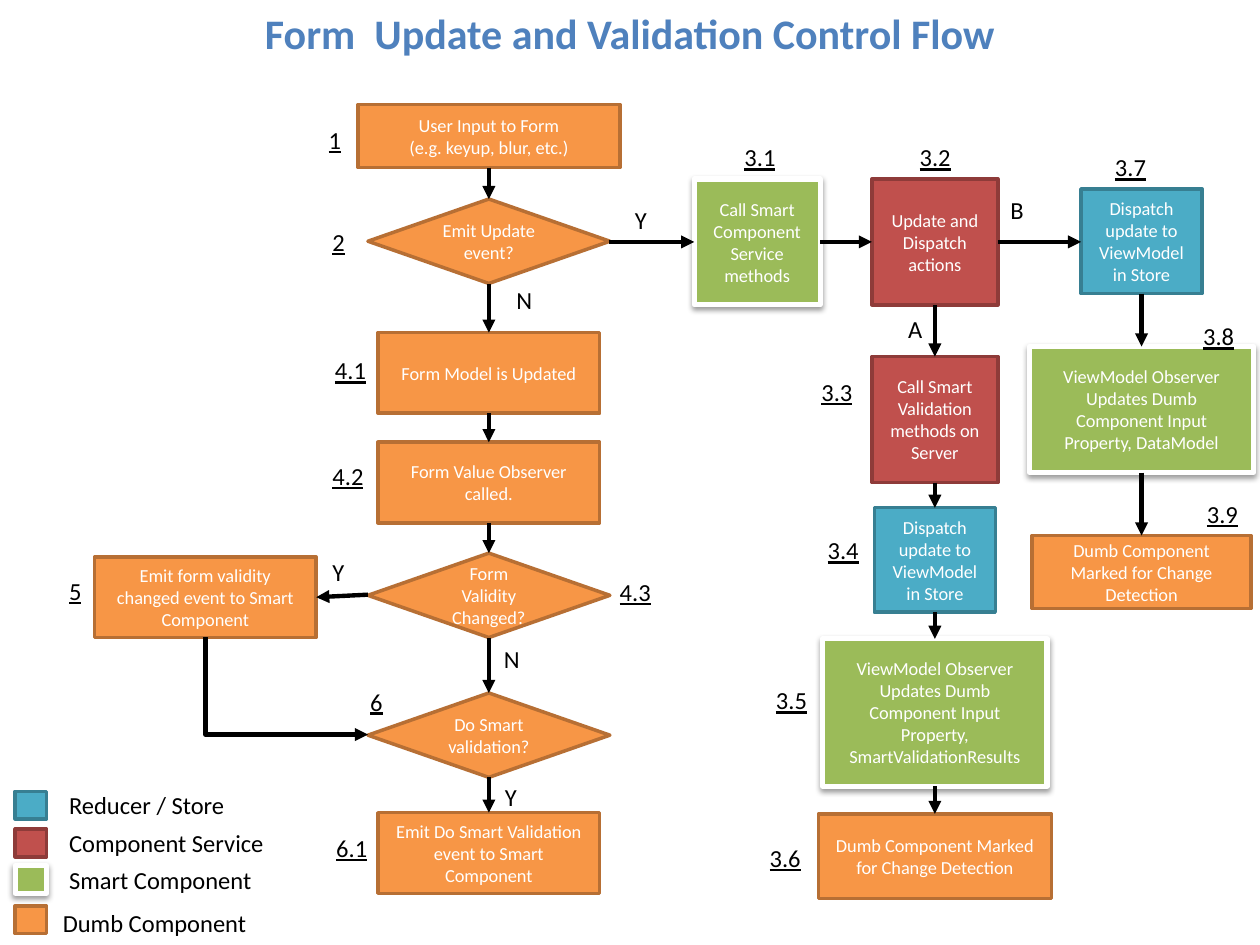
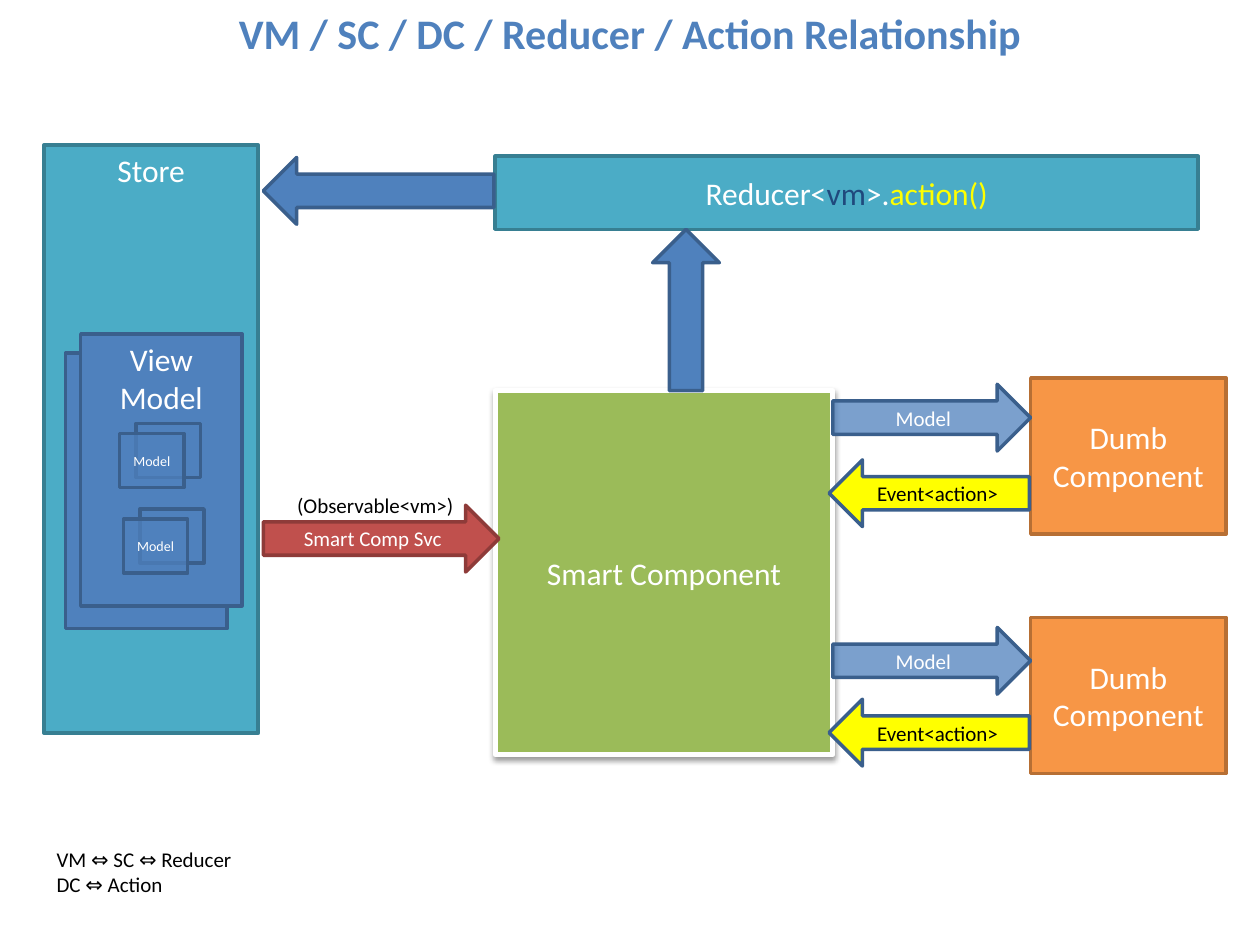
from itertools import pairwise

from lxml.etree import SubElement
from pptx import Presentation
from pptx.dml.color import RGBColor
from pptx.enum.shapes import MSO_CONNECTOR, MSO_SHAPE
from pptx.enum.text import MSO_ANCHOR, MSO_AUTO_SIZE, PP_ALIGN
from pptx.oxml.ns import qn
from pptx.util import Inches, Pt

WHITE = RGBColor(0xFF, 0xFF, 0xFF)
BLACK = RGBColor(0x00, 0x00, 0x00)
BLUE = RGBColor(0x4F, 0x81, 0xBD)
NAVY = RGBColor(0x1F, 0x49, 0x7D)
YELLOW = RGBColor(0xFF, 0xFF, 0x00)
BLUE_EDGE = RGBColor(0x3A, 0x5F, 0x8C)

# Each role has a fill and an edge colour
STORE = (RGBColor(0x4B, 0xAC, 0xC6), RGBColor(0x37, 0x7F, 0x92))
SERVICE = (RGBColor(0xC0, 0x50, 0x4D), RGBColor(0x8E, 0x3B, 0x39))
SMART = (RGBColor(0x9B, 0xBB, 0x59), WHITE)
DUMB = (RGBColor(0xF7, 0x96, 0x46), RGBColor(0xB7, 0x6F, 0x34))
MODEL = (BLUE, BLUE_EDGE)
EVENT = (YELLOW, BLUE_EDGE)

RECTANGLE = MSO_SHAPE.RECTANGLE
DECISION = MSO_SHAPE.FLOWCHART_DECISION
LEFT_ARROW = MSO_SHAPE.LEFT_ARROW
RIGHT_ARROW = MSO_SHAPE.RIGHT_ARROW


def write_text(shape, text, size=14, colors=(BLACK,), bold=False, underline=False,
               align=PP_ALIGN.LEFT, anchor=MSO_ANCHOR.TOP, wrap=False):
    """Fill a shape with text: newlines part paragraphs, bars part coloured runs."""
    frame = shape.text_frame
    frame.word_wrap = wrap
    frame.vertical_anchor = anchor
    for index, line in enumerate(text.split("\n")):
        paragraph = frame.add_paragraph() if index else frame.paragraphs[0]
        paragraph.alignment = align
        for piece, color in zip(line.split("|"), colors):
            run = paragraph.add_run()
            run.text = piece
            run.font.name = "Calibri"
            run.font.size = Pt(size)
            run.font.bold = bold
            run.font.underline = underline
            run.font.color.rgb = color


def add_block(slide, kind, box, role, text="", opacity=100, **text_format):
    """Draw a shape in its role's colours; white-edged ones cast a shadow."""
    fill, edge = role
    shape = slide.shapes.add_shape(kind, *[Inches(length) for length in box])
    shape.shadow.inherit = False
    shape.fill.solid()
    shape.fill.fore_color.rgb = fill
    shape.line.color.rgb = edge
    shape.line.width = Pt(3 if edge == WHITE else 2)
    properties = shape._element.spPr
    if edge == WHITE:
        shadow = SubElement(properties.find(qn("a:effectLst")), qn("a:outerShdw"),
                            blurRad="40000", dist="20000", dir="5400000", rotWithShape="0")
        shadow_color = SubElement(shadow, qn("a:srgbClr"), val="000000")
        SubElement(shadow_color, qn("a:alpha"), val="38000")
    if opacity < 100:
        fill_color = properties.find(qn("a:solidFill"))[0]
        SubElement(fill_color, qn("a:alpha"), val=str(opacity * 1000))
    if text:
        text_format = {"colors": (WHITE,), "anchor": MSO_ANCHOR.MIDDLE} | text_format
        write_text(shape, text, align=PP_ALIGN.CENTER, wrap=True, **text_format)


presentation = Presentation()
presentation.slide_width = Inches(10)
presentation.slide_height = Inches(7.5)

# Both slides share the title style
slides = []
for heading in ("Form  Update and Validation Control Flow",
                "VM / SC / DC / Reducer / Action Relationship"):
    slide = presentation.slides.add_slide(presentation.slide_layouts[5])
    title = slide.shapes.title
    title.left, title.top = Inches(0), Inches(0.01)
    title.width, title.height = Inches(10), Inches(0.5)
    write_text(title, heading, size=24, colors=(BLUE,), bold=True,
               align=PP_ALIGN.CENTER, wrap=True)
    title.text_frame.auto_size = MSO_AUTO_SIZE.NONE
    slides.append(slide)
flow_slide, relation_slide = slides

# Slide 1: columns of steps, keyed by centre line: kind, role, top, width, height, text
columns = {
    3.88: [
        (RECTANGLE, DUMB, 0.83, 2.08, 0.5, "User Input to Form\n(e.g. keyup, blur, etc.)"),
        (DECISION, DUMB, 1.58, 1.92, 0.67, "Emit Update event?"),
        (RECTANGLE, DUMB, 2.64, 1.76, 0.64, "Form Model is Updated"),
        (RECTANGLE, DUMB, 3.51, 1.76, 0.64, "Form Value Observer called."),
        (DECISION, DUMB, 4.39, 1.92, 0.67, "Form Validity Changed?"),
        (DECISION, DUMB, 5.5, 1.92, 0.67, "Do Smart validation?"),
        (RECTANGLE, DUMB, 6.45, 1.76, 0.64,
         "Emit Do Smart Validation event to Smart Component"),
    ],
    1.63: [(RECTANGLE, DUMB, 4.42, 1.76, 0.64,
            "Emit form validity changed event to Smart Component")],
    6.01: [(RECTANGLE, SMART, 1.42, 1, 1, "Call Smart Component Service methods")],
    7.42: [
        (RECTANGLE, SERVICE, 1.42, 1, 1, "Update and Dispatch actions"),
        (RECTANGLE, SERVICE, 2.83, 1, 1, "Call Smart Validation methods on Server"),
        (RECTANGLE, STORE, 4.03, 0.96, 0.83, "Dispatch update to ViewModel in Store"),
        (RECTANGLE, SMART, 5.07, 1.78, 1.17,
         "ViewModel Observer Updates Dumb Component Input Property, SmartValidationResults"),
        (RECTANGLE, DUMB, 6.46, 1.85, 0.67, "Dumb Component Marked for Change Detection"),
    ],
    9.06: [
        (RECTANGLE, STORE, 1.5, 0.96, 0.83, "Dispatch update to ViewModel in Store"),
        (RECTANGLE, SMART, 2.75, 1.78, 1,
         "ViewModel Observer Updates Dumb Component Input Property, DataModel"),
        (RECTANGLE, DUMB, 4.25, 1.74, 0.58, "Dumb Component Marked for Change Detection"),
    ],
}
arrows = [
    (4.83, 1.92, 5.51, 1.92),
    (6.51, 1.92, 6.92, 1.92),
    (7.92, 1.92, 8.58, 1.92),
    (2.92, 4.72, 2.51, 4.74),
]
for center, steps in columns.items():
    for kind, role, top, width, height, text in steps:
        add_block(flow_slide, kind, (center - width / 2, top, width, height), role, text,
                  size=10.5)
    for upper, lower in pairwise(steps):
        arrows.append((center, upper[2] + upper[4], center, lower[2]))

connectors = []
for ends in arrows:
    connectors.append(flow_slide.shapes.add_connector(
        MSO_CONNECTOR.STRAIGHT, *[Inches(length) for length in ends]))

# One-bend arrow from the validity event down and across to the last decision
elbow = flow_slide.shapes.add_connector(
    MSO_CONNECTOR.ELBOW, Inches(2.66), Inches(4.8), Inches(1.89), Inches(6.09))
elbow_properties = elbow._element.spPr
elbow_properties.find(qn("a:prstGeom")).set("prst", "bentConnector2")
elbow_properties.find(qn("a:xfrm")).set("rot", str(270 * 60000))
connectors.append(elbow)

for connector in connectors:
    connector.line.color.rgb = BLACK
    connector.line.width = Pt(2.5)
    properties = connector._element.spPr
    SubElement(properties.find(qn("a:ln")), qn("a:tailEnd"), type="triangle")
    SubElement(properties, qn("a:effectLst"))

# Legend swatches, then every label: text, left, top
for top, role in ((7.19, DUMB), (6.87, SMART), (6.58, SERVICE), (6.28, STORE)):
    add_block(flow_slide, RECTANGLE, (0.12, top, 0.25, 0.22), role)

labels = [
    ("Dumb Component", 0.4, 7.16), ("Smart Component", 0.45, 6.82),
    ("Component Service", 0.45, 6.52), ("Reducer / Store", 0.45, 6.22),
    ("B", 7.92, 1.5), ("A", 7.11, 2.44),
    ("Y", 4.94, 1.58), ("N", 4, 2.21), ("Y", 2.54, 4.37), ("N", 3.9, 5.06), ("Y", 3.91, 6.16),
    ("1", 2.51, 0.94), ("2", 2.54, 1.75),
    ("3.1", 5.81, 1.08), ("3.2", 7.2, 1.08), ("3.3", 6.42, 2.94),
    ("3.4", 6.47, 4.2), ("3.5", 6.06, 5.39), ("3.6", 6.01, 6.64),
    ("3.7", 8.75, 1.16), ("3.8", 9.45, 2.5), ("3.9", 9.48, 3.91),
    ("4.1", 2.56, 2.77), ("4.2", 2.54, 3.61), ("4.3", 4.82, 4.53),
    ("5", 0.45, 4.52), ("6", 2.84, 5.4), ("6.1", 2.57, 6.56),
]
label_widths = {1: 0.33, 3: 0.45}
for text, left, top in labels:
    width = label_widths.get(len(text), 1.9)
    label = flow_slide.shapes.add_textbox(Inches(left), Inches(top), Inches(width), Inches(0.34))
    write_text(label, text, underline=text[0].isdigit())

# Slide 2: the main blocks
add_block(relation_slide, RECTANGLE, (3.93, 3.1, 2.68, 2.89), SMART, "Smart Component", size=18)
add_block(relation_slide, RECTANGLE, (3.93, 1.24, 5.58, 0.58), STORE,
          "Reducer<|vm|>.|action()", size=18, colors=(WHITE, NAVY, WHITE, YELLOW))
add_block(relation_slide, RECTANGLE, (0.35, 1.15, 1.7, 4.67), STORE, "Store", size=18,
          anchor=MSO_ANCHOR.TOP)

# Stacked view models, each model a pair of see-through cards
for box in ((0.52, 2.8, 1.28, 2.19), (0.64, 2.65, 1.28, 2.16)):
    add_block(relation_slide, RECTANGLE, box, MODEL, "View Model", size=18,
              anchor=MSO_ANCHOR.TOP)
for left, top in ((0.95, 3.44), (0.98, 4.12)):
    add_block(relation_slide, RECTANGLE, (left + 0.13, top - 0.08, 0.51, 0.43), MODEL,
              opacity=76)
    add_block(relation_slide, RECTANGLE, (left, top, 0.51, 0.43), MODEL, "Model",
              opacity=76, size=8)

# Dumb components with the model going in and the event coming out
for top, model_top, event_top in ((3, 3.05, 3.65), (4.9, 4.98, 5.55)):
    add_block(relation_slide, RECTANGLE, (8.18, top, 1.55, 1.24), DUMB, "Dumb Component",
              size=18)
    add_block(relation_slide, RIGHT_ARROW, (6.61, model_top, 1.57, 0.53), MODEL, "Model",
              opacity=75, size=12)
    add_block(relation_slide, LEFT_ARROW, (6.58, event_top, 1.59, 0.53), EVENT,
              "Event<action>", size=12, colors=(BLACK,))

# Arrows that close the loop
add_block(relation_slide, MSO_SHAPE.UP_ARROW, (5.18, 1.82, 0.53, 1.28), MODEL)
add_block(relation_slide, LEFT_ARROW, (2.09, 1.25, 1.83, 0.53), MODEL)
add_block(relation_slide, RIGHT_ARROW, (2.09, 4.01, 1.87, 0.53), SERVICE, "Smart Comp Svc",
          size=12)

for text, left, top, width, height in (
        ("(Observable<vm>)", 2.26, 3.86, 1.46, 0.3),
        ("VM ⇔ SC ⇔ Reducer\nDC ⇔ Action", 0.35, 6.67, 1.68, 0.5)):
    note = relation_slide.shapes.add_textbox(
        Inches(left), Inches(top), Inches(width), Inches(height))
    write_text(note, text, size=12)

presentation.save("out.pptx")
